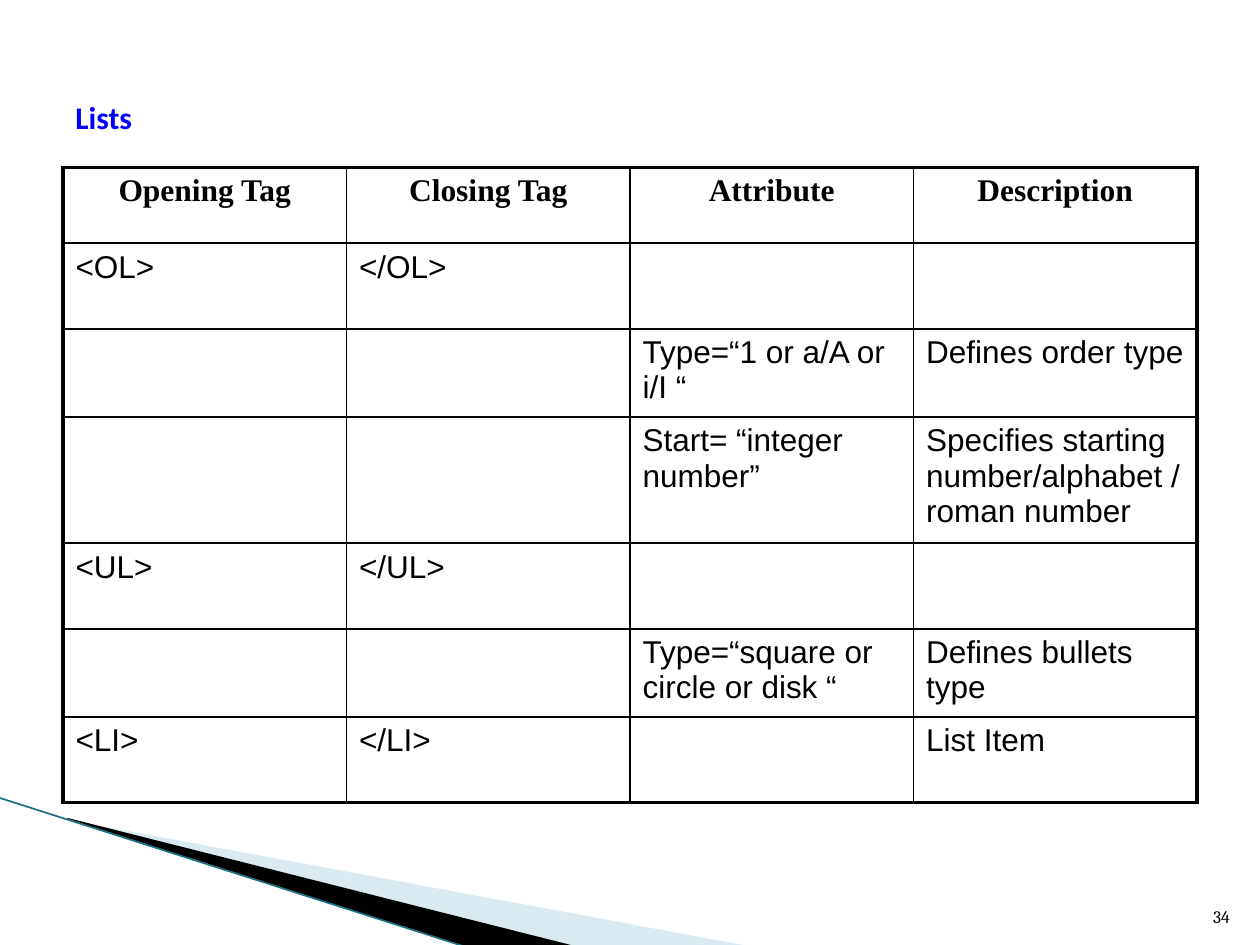
from lxml import etree
from pptx import Presentation
from pptx.dml.color import RGBColor
from pptx.enum.shapes import MSO_CONNECTOR
from pptx.enum.text import MSO_ANCHOR, PP_ALIGN
from pptx.oxml.ns import qn
from pptx.util import Pt

BLACK = RGBColor(0, 0, 0)
BLUE = RGBColor(0, 0, 255)
PALE = RGBColor(0xA0, 0xCB, 0xDC)
TEAL = RGBColor(0x1B, 0x70, 0x85)
LEFT, CENTER, RIGHT = PP_ALIGN.LEFT, PP_ALIGN.CENTER, PP_ALIGN.RIGHT
TOP, MIDDLE, BOTTOM = MSO_ANCHOR.TOP, MSO_ANCHOR.MIDDLE, MSO_ANCHOR.BOTTOM

TITLE = "Lists"
PAGE = "34"
ROWS = [
    ("Opening Tag", "Closing Tag", "Attribute", "Description"),
    ("<OL>", "</OL>", "", ""),
    ("", "", "Type=“1 or a/A or i/I “", "Defines order type"),
    ("", "", "Start= “integer number”",
     "Specifies starting number/alphabet /roman number"),
    ("<UL>", "</UL>", "", ""),
    ("", "", "Type=“square or circle or disk “", "Defines bullets type"),
    ("<LI>", "</LI>", "", "List Item"),
]
HEIGHTS = [43.2, 48.96, 50.4, 72, 48.96, 50.4, 48.96]
COL_WIDTH = 162
THIN, THICK = 1, 2.25
WEDGES = [
    ((56.16, 393.84, 299.52, 113.76),
     [(39.6, 468.7), (428.4, 540.7), (328.3, 540.7), (39.6, 468)], PALE, 40),
    ((-4.32, 455.76, 299.52, 66.24),
     [(38.2, 467.3), (329, 540.7), (267.8, 541.4), (38.9, 468)], BLACK, 100),
]
EDGE = (-0.7, 455.8, 267.1, 541.4)


def write(tf, text, font="Arial", size=18, color=BLACK, bold=False,
          align=LEFT, before=0):
    """Put one formatted paragraph into a text frame."""
    tf.word_wrap = True
    p = tf.paragraphs[0]
    p.alignment = align
    p.space_before = Pt(before)
    r = p.add_run()
    r.text = text
    r.font.name, r.font.size, r.font.bold = font, Pt(size), bold
    r.font.color.rgb = color


def add_label(s, box, text, anchor, **fmt):
    tf = s.shapes.add_textbox(*map(Pt, box)).text_frame
    tf.vertical_anchor = anchor
    write(tf, text, **fmt)


def set_frame(sp, box):
    """Give a freeform a new frame while its outline stays in place."""
    left, top, width, height = map(Pt, box)
    dx, dy = sp.left - left, sp.top - top
    outline = sp._element.find(".//" + qn("a:pathLst"))[0]
    for pt in outline.iter(qn("a:pt")):
        pt.set("x", str(int(pt.get("x")) + dx))
        pt.set("y", str(int(pt.get("y")) + dy))
    outline.set("w", str(int(width)))
    outline.set("h", str(int(height)))
    sp.left, sp.top, sp.width, sp.height = left, top, width, height


def add_wedge(s, box, points, color, opacity):
    points = [(Pt(x), Pt(y)) for x, y in points]
    fb = s.shapes.build_freeform(*points[0])
    fb.add_line_segments(points[1:], close=True)
    sp = fb.convert_to_shape()
    set_frame(sp, box)
    sp.shadow.inherit = False
    sp.fill.solid()
    sp.fill.fore_color.rgb = color
    sp.line.fill.background()
    if opacity < 100:
        clr = sp._element.spPr.find(".//" + qn("a:srgbClr"))
        etree.SubElement(clr, qn("a:alpha"), val=str(opacity * 1000))


def set_borders(cell, widths):
    tc_pr = cell._tc.get_or_add_tcPr()
    for i, (side, width) in enumerate(zip("LRTB", widths)):
        ln = etree.Element(qn("a:ln" + side), w=str(Pt(width)))
        fill = etree.SubElement(ln, qn("a:solidFill"))
        etree.SubElement(fill, qn("a:srgbClr"), val=str(BLACK))
        tc_pr.insert(i, ln)


def add_tag_table(s):
    n_rows, n_cols = len(ROWS), len(ROWS[0])
    table = s.shapes.add_table(n_rows, n_cols, Pt(36), Pt(95.76),
                               Pt(COL_WIDTH * n_cols), Pt(sum(HEIGHTS))).table
    table.first_row = table.horz_banding = False
    for col in table.columns:
        col.width = Pt(COL_WIDTH)
    for i, (texts, height) in enumerate(zip(ROWS, HEIGHTS)):
        table.rows[i].height = Pt(height)
        if i == 0:
            fmt = dict(font="Times New Roman", bold=True, align=CENTER)
        else:
            fmt = dict(before=3.6)
        for j, text in enumerate(texts):
            cell = table.cell(i, j)
            cell.fill.background()
            cell.vertical_anchor = TOP
            outer = (j == 0, j == n_cols - 1, i == 0, i == n_rows - 1)
            set_borders(cell, [THICK if o else THIN for o in outer])
            if text:
                write(cell.text_frame, text, **fmt)


prs = Presentation()
prs.slide_width, prs.slide_height = Pt(720), Pt(540)
s = prs.slides.add_slide(prs.slide_layouts[6])

for wedge in WEDGES:
    add_wedge(s, *wedge)
edge = s.shapes.add_connector(MSO_CONNECTOR.STRAIGHT, *map(Pt, EDGE))
edge.line.color.rgb = TEAL
edge.line.width = Pt(0.95)
etree.SubElement(edge._element.spPr, qn("a:effectLst"))

add_label(s, (36, 21.6, 648, 90), TITLE, MIDDLE,
          font="Calibri", color=BLUE, bold=True)
add_tag_table(s)
add_label(s, (681, 504.7, 28.8, 28.8), PAGE, BOTTOM,
          font="Cambria", size=10, align=RIGHT)

prs.save("out.pptx")
